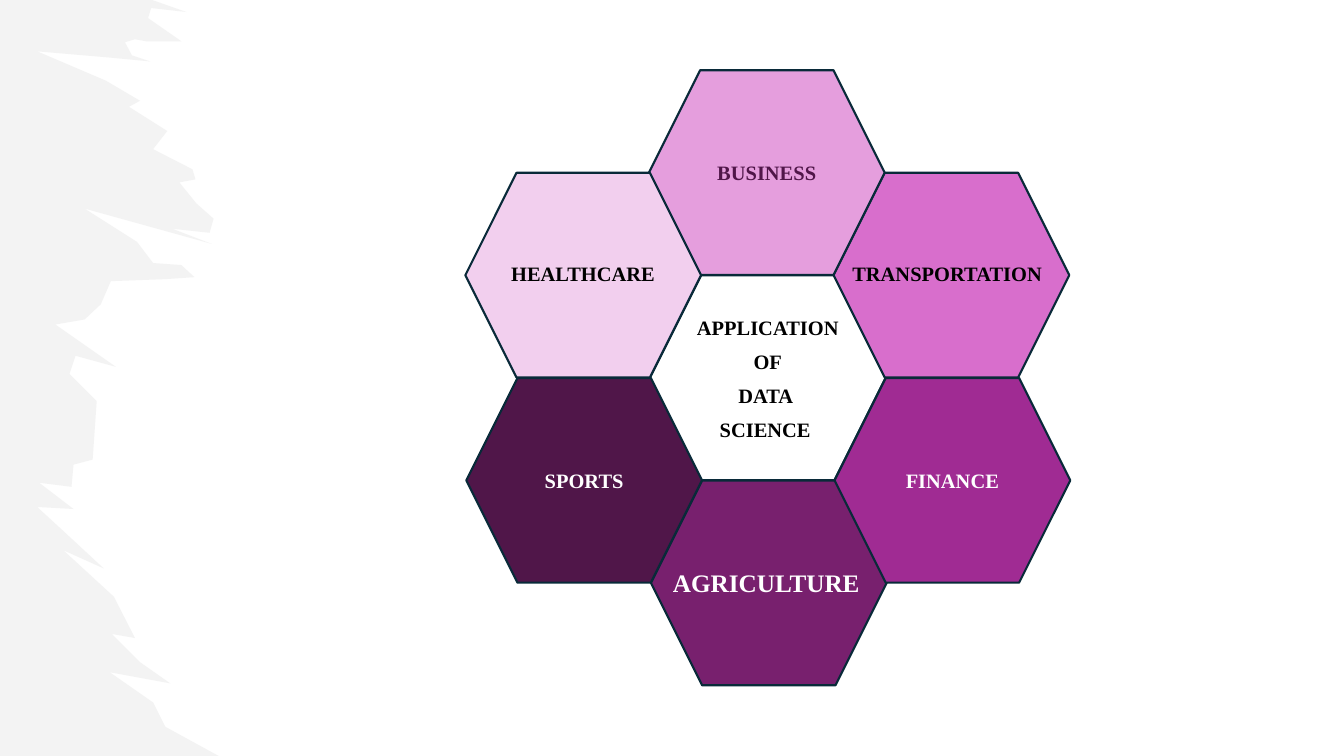
"""Build a slide with a honeycomb of data science applications."""
from lxml import etree
from pptx import Presentation, util as u
from pptx.dml.color import RGBColor
from pptx.enum import shapes, text
from pptx.oxml.ns import qn

FONT = "Times New Roman"
COLORS = {
    "edge": "092A39", "brush": "E8E8E8", "black": "000000", "white": "FFFFFF",
    "blush": "F2CFEE", "pink": "E59EDD", "orchid": "D86ECC",
    "magenta": "A02B93", "purple": "78206E", "plum": "501649",
}

# column, row, fill, lines, text colour
CELLS = [
    (0, 0, None, ["APPLICATION", "OF", "DATA ", "SCIENCE "], "black"),
    (0, 1, "purple", [], None),
    (1, 0.5, "magenta", ["FINANCE"], "white"),
    (-1, 0.5, "plum", ["SPORTS"], "white"),
    (1, -0.5, "orchid", [], None),
    (0, -1, "pink", ["BUSINESS"], "plum"),
    (-1, -0.5, "blush", [], None),
]
# text, left, top, width, height, size, colour, alignment
LABELS = [
    ("HEALTHCARE", 11.94, 6.45, 5.51, 0.84, 14.6, "black", "CENTER"),
    ("TRANSPORTATION", 21.23, 6.45, 5.51, 0.84, 14.6, "black", "LEFT"),
    ("AGRICULTURE", 16.71, 14.17, 5.36, 1.02, 18, "white", "LEFT"),
]
CELL_W, CELL_H = 5.94, 5.16
CENTER_LEFT, CENTER_TOP = 16.38, 6.94
COLUMN_STEP, ROW_STEP, ROW_SKEW = 4.64, 5.17, 0.025

# Ragged edge of the brush stroke, top to bottom, in hundredths of an inch
BRUSH_EDGE = [
    (0, 0), (151, 0), (185, 12), (150, 8), (147, 18), (180, 41), (145, 41),
    (134, 39), (124, 42), (131, 55), (149, 61), (107, 57), (37, 51),
    (105, 80), (139, 100), (128, 106), (166, 130), (152, 148), (191, 168),
    (194, 178), (178, 181), (195, 202), (212, 217), (208, 231), (171, 227),
    (210, 242), (84, 207), (136, 240), (152, 261), (180, 263), (193, 275),
    (164, 277), (110, 279), (100, 302), (84, 317), (55, 322), (115, 364),
    (75, 353), (69, 371), (96, 398), (92, 456), (73, 461), (71, 483),
    (39, 479), (73, 505), (37, 503), (62, 526), (103, 564), (63, 546),
    (113, 592), (134, 633), (111, 629), (139, 657), (169, 678), (109, 667),
    (152, 697), (164, 721), (217, 750), (0, 750),
]


def color(name):
    return RGBColor.from_string(COLORS[name])


def add_brush(page):
    builder = page.shapes.build_freeform(0, 0, scale=u.Cm(2.54) / 100)
    builder.add_line_segments(BRUSH_EDGE[1:], close=True)
    brush = builder.convert_to_shape()
    brush.shadow.inherit = False
    brush.line.fill.background()
    brush.fill.solid()
    brush.fill.fore_color.rgb = color("brush")
    tone = next(brush.element.spPr.iter(qn("a:srgbClr")))
    etree.SubElement(tone, qn("a:alpha"), val="50000")


def write(frame, lines, size, ink, align):
    frame.word_wrap = True
    for index, line in enumerate(lines):
        para = frame.add_paragraph() if index else frame.paragraphs[0]
        para.alignment = align
        para.space_after = u.Pt(6)
        para.line_spacing = 1.05 if len(lines) > 1 else 1.0
        span = para.add_run()
        span.text = line
        span.font.name = FONT
        span.font.size = u.Pt(size)
        span.font.bold = True
        span.font.color.rgb = color(ink)


def add_cell(page, column, row, fill, lines, ink):
    left = CENTER_LEFT + column * COLUMN_STEP + row * ROW_SKEW
    top = CENTER_TOP + row * ROW_STEP
    cell = page.shapes.add_shape(shapes.MSO_SHAPE.HEXAGON, u.Cm(left), u.Cm(top),
                                 u.Cm(CELL_W), u.Cm(CELL_H))
    cell.shadow.inherit = False
    cell.line.color.rgb = color("edge")
    cell.line.width = u.Pt(1.5)
    if fill:
        cell.fill.solid()
        cell.fill.fore_color.rgb = color(fill)
    else:
        cell.fill.background()
    frame = cell.text_frame
    frame.margin_left = frame.margin_right = 0
    frame.vertical_anchor = text.MSO_ANCHOR.MIDDLE
    write(frame, lines, 14.6, ink, text.PP_ALIGN.CENTER)


def main():
    deck = Presentation()
    deck.slide_width, deck.slide_height = u.Cm(33.87), u.Cm(19.05)
    page = deck.slides.add_slide(deck.slide_layouts[6])
    add_brush(page)
    for cell in CELLS:
        add_cell(page, *cell)
    for words, left, top, width, height, size, ink, align in LABELS:
        box = page.shapes.add_textbox(u.Cm(left), u.Cm(top), u.Cm(width), u.Cm(height))
        write(box.text_frame, [words], size, ink, text.PP_ALIGN[align])
    deck.save("out.pptx")


if __name__ == "__main__":
    main()
